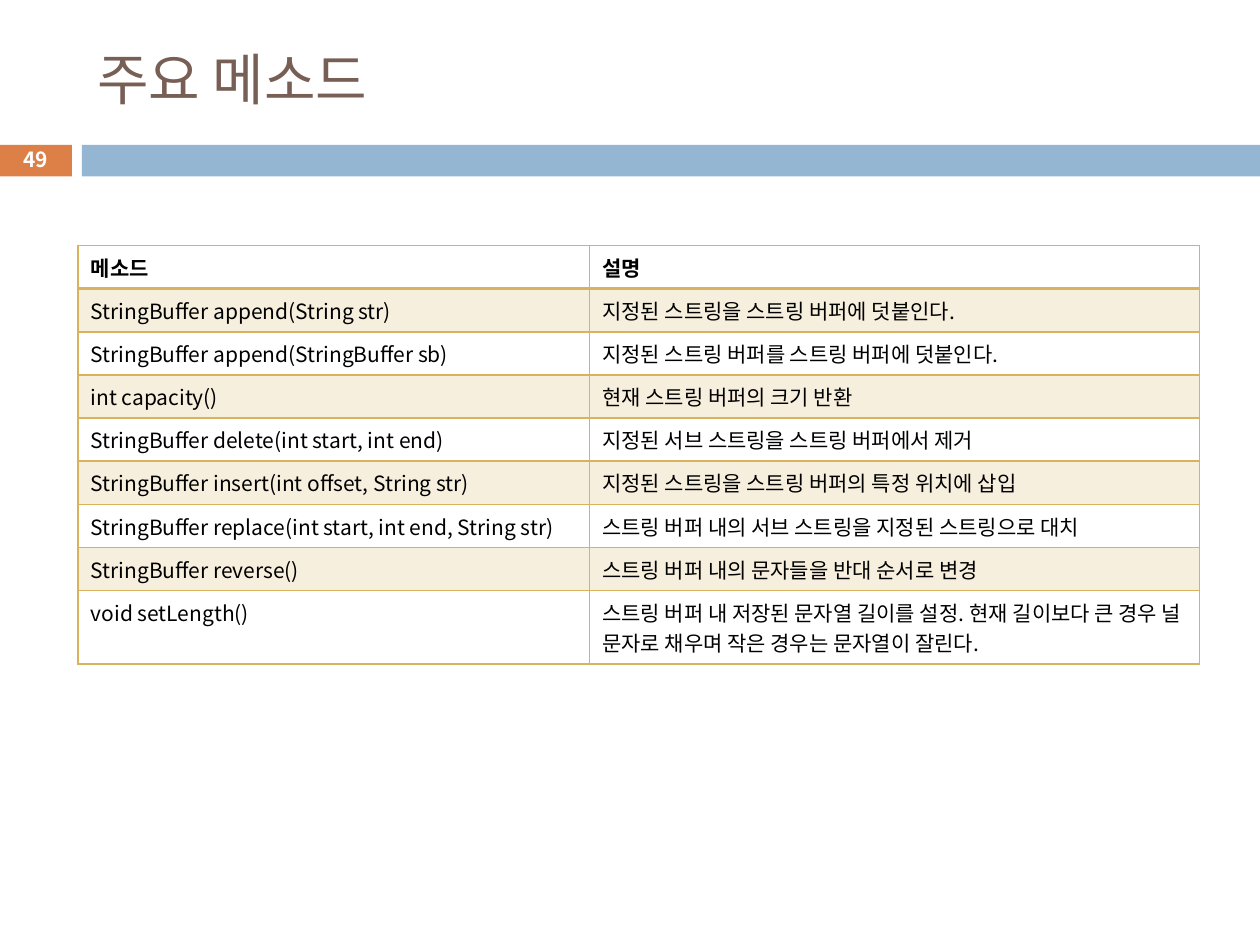
from lxml import etree
from pptx import Presentation
from pptx.dml.color import RGBColor
from pptx.enum.shapes import MSO_SHAPE
from pptx.enum.text import MSO_ANCHOR, PP_ALIGN
from pptx.oxml.ns import qn
from pptx.util import Inches, Pt

RECTANGLE = MSO_SHAPE.RECTANGLE
MIDDLE = MSO_ANCHOR.MIDDLE
LEFT, CENTER = PP_ALIGN.LEFT, PP_ALIGN.CENTER
FONT = "Noto Sans CJK KR"
GOLD = "D8B25C"


def color(value):
    return RGBColor.from_string(value)


def write(frame, text, size, hex_color, bold=False, align=LEFT):
    para = frame.paragraphs[0]
    span = para.add_run()
    span.text = text
    para.alignment = align
    para.font.size = Pt(size)
    para.font.bold = bold
    # Korean letters take the East Asian typeface of the run
    for font in (para.font, span.font):
        font.name = FONT
        font.color.rgb = color(hex_color)
    etree.SubElement(span.font._element, qn("a:ea"), typeface=FONT)


deck = Presentation()
deck.slide_width, deck.slide_height = Inches(10), Inches(7.5)
page = deck.slides.add_slide(deck.slide_layouts[5])

# Bars below the title
for left, width, fill in ((-0.01, 0.58, "DD8047"), (0.65, 9.35, "94B6D2")):
    bar = page.shapes.add_shape(
        RECTANGLE, Inches(left), Inches(1.15), Inches(width), Inches(0.25))
    bar.shadow.inherit = False
    bar.fill.solid()
    bar.fill.fore_color.rgb = color(fill)
    bar.line.fill.background()

# Title
title = page.shapes.title
title.left, title.top = Inches(0.67), Inches(0.25)
title.width, title.height = Inches(8.92), Inches(0.74)
title.text_frame.vertical_anchor = MIDDLE
write(title.text_frame, "주요 메소드", 32, "775F55")

# Method table
methods = [
    ("메소드", "설명"),
    ("StringBuffer append(String str)", "지정된 스트링을 스트링 버퍼에 덧붙인다."),
    ("StringBuffer append(StringBuffer sb)", "지정된 스트링 버퍼를 스트링 버퍼에 덧붙인다."),
    ("int capacity()", "현재 스트링 버퍼의 크기 반환"),
    ("StringBuffer delete(int start, int end)", "지정된 서브 스트링을 스트링 버퍼에서 제거"),
    ("StringBuffer insert(int offset, String str)", "지정된 스트링을 스트링 버퍼의 특정 위치에 삽입"),
    ("StringBuffer replace(int start, int end, String str)",
     "스트링 버퍼 내의 서브 스트링을 지정된 스트링으로 대치"),
    ("StringBuffer reverse()", "스트링 버퍼 내의 문자들을 반대 순서로 변경"),
    ("void setLength()",
     "스트링 버퍼 내 저장된 문자열 길이를 설정. 현재 길이보다 큰 경우 "
     "널 문자로 채우며 작은 경우는 문자열이 잘린다."),
]
table = page.shapes.add_table(
    len(methods), 2, Inches(0.62), Inches(1.95), Inches(8.9), Inches(3.06)).table
table.horz_banding = False
for column, width in zip(table.columns, (4.06, 4.84)):
    column.width = Inches(width)
for row in table.rows:
    row.height = Inches(0.34)

for row_index, texts in enumerate(methods):
    for column_index, text in enumerate(texts):
        cell = table.cell(row_index, column_index)
        write(cell.text_frame, text, 12, "000000", bold=row_index == 0)

        # Borders, with a heavier rule around the bottom of the header
        properties = cell._tc.get_or_add_tcPr()
        for side in ("lnL", "lnR", "lnT", "lnB"):
            heavy = (row_index, side) in ((0, "lnB"), (1, "lnT"))
            border = etree.SubElement(
                properties, qn(f"a:{side}"), w=str(Pt(2 if heavy else 1)))
            line_fill = etree.SubElement(border, qn("a:solidFill"))
            etree.SubElement(line_fill, qn("a:srgbClr"), val=GOLD)

        # Odd rows carry a light gold band
        if row_index % 2:
            cell.fill.solid()
            cell.fill.fore_color.rgb = color(GOLD)
            band = properties.find(qn("a:solidFill")).find(qn("a:srgbClr"))
            etree.SubElement(band, qn("a:alpha"), val="20000")
        else:
            cell.fill.background()

# Page number
number = page.shapes.add_textbox(
    Inches(-0.01), Inches(1.13), Inches(0.58), Inches(0.27))
frame = number.text_frame
frame.word_wrap = True
frame.vertical_anchor = MIDDLE
frame.margin_left = frame.margin_right = frame.margin_top = frame.margin_bottom = 0
write(frame, "49", 11.9, "FFFFFF", bold=True, align=CENTER)

deck.save("out.pptx")
